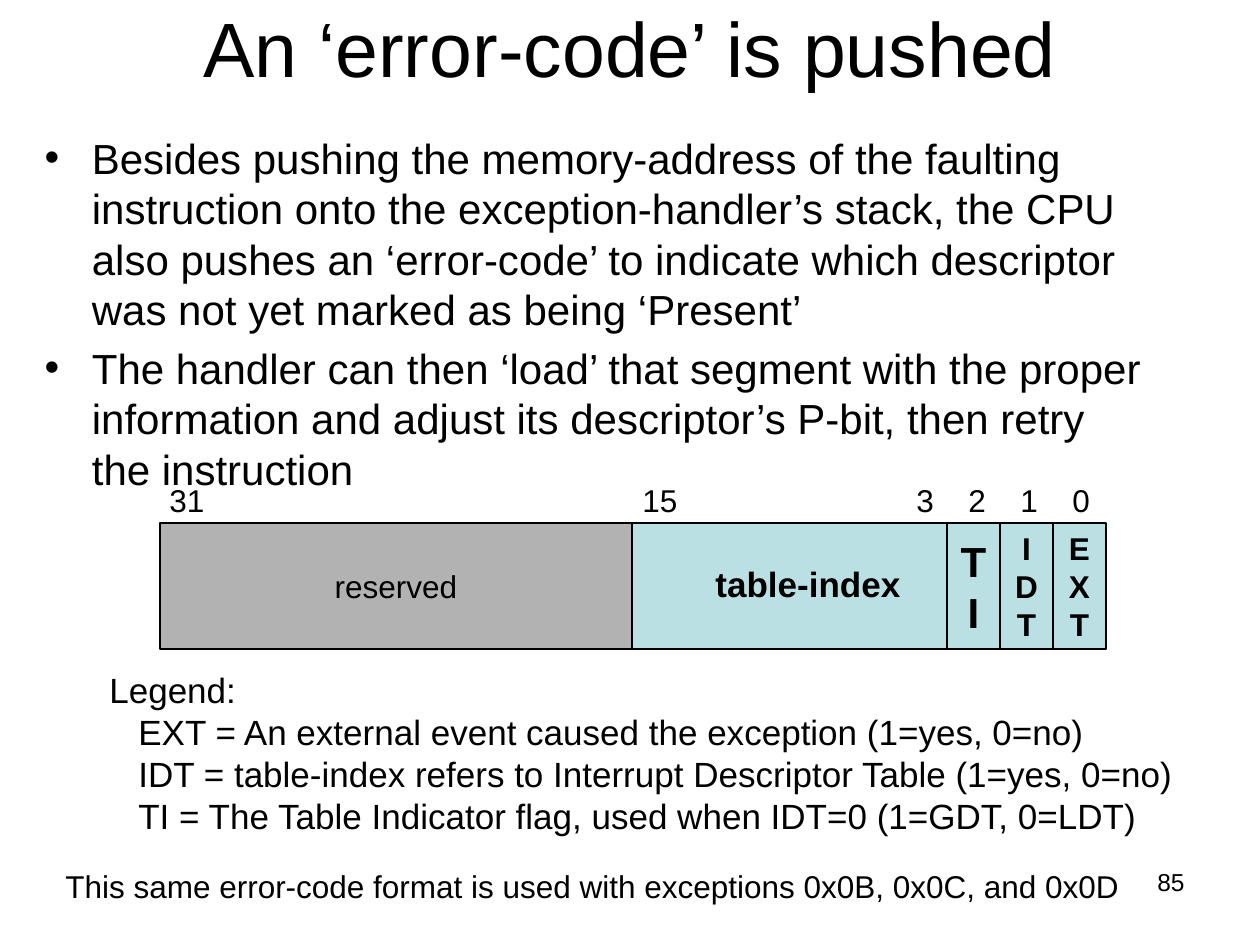
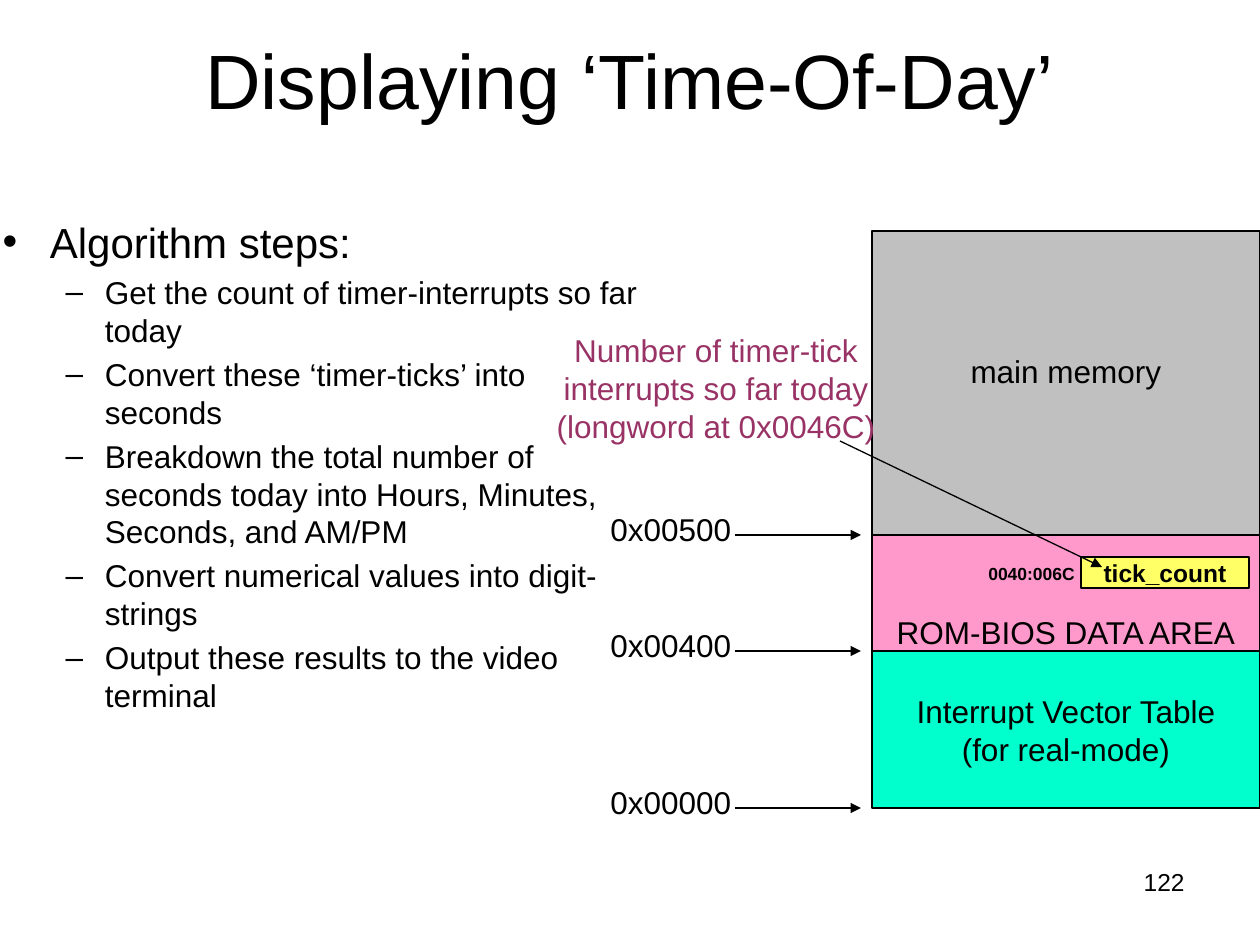
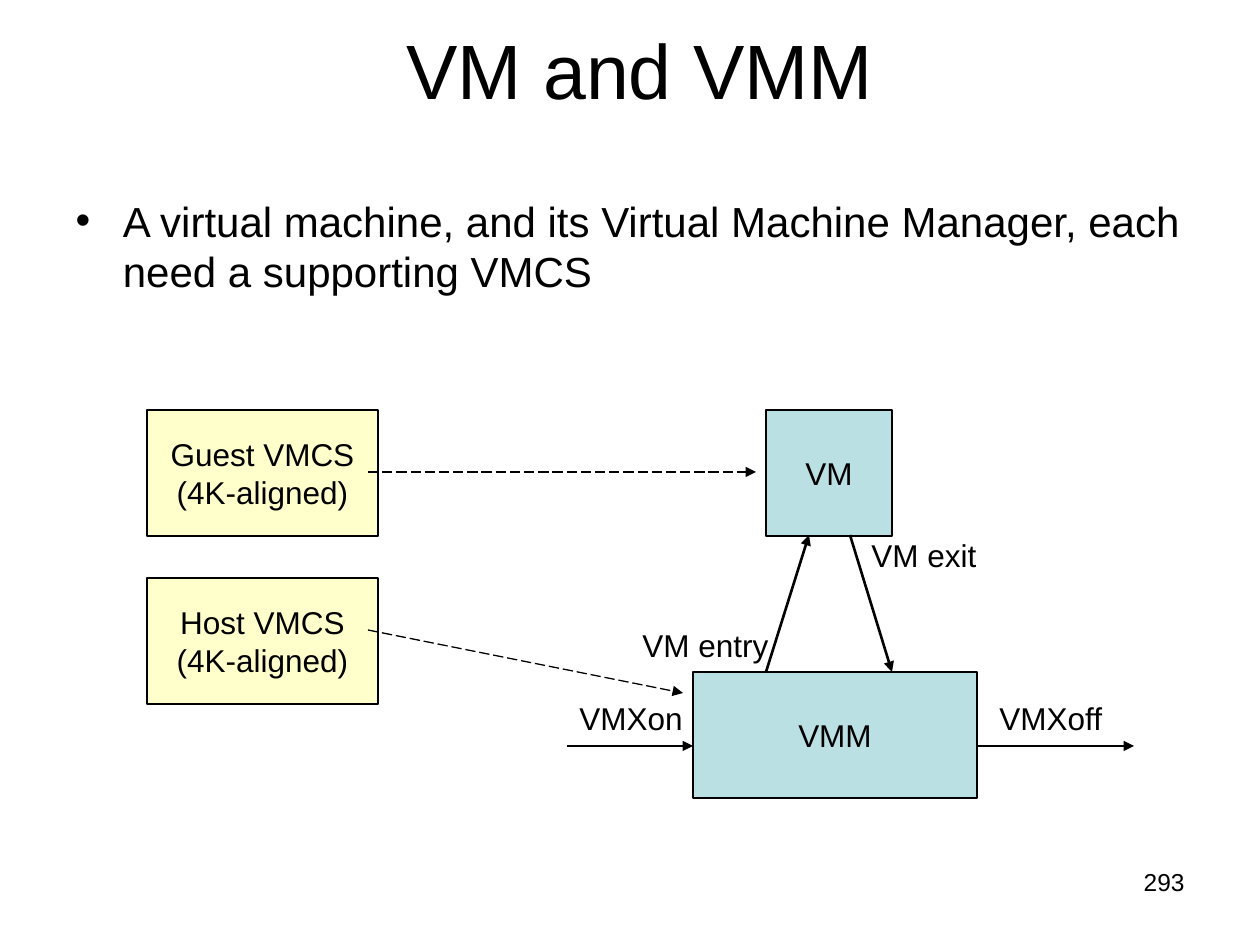
from pptx import Presentation
from pptx.dml.color import RGBColor
from pptx.enum.dml import MSO_LINE
from pptx.enum.shapes import MSO_CONNECTOR, MSO_SHAPE
from pptx.enum.text import MSO_ANCHOR, MSO_AUTO_SIZE, PP_ALIGN
from pptx.oxml.ns import qn
from pptx.oxml.xmlchemy import OxmlElement
from pptx.util import Pt

LEFT, CENTER, RIGHT = PP_ALIGN.LEFT, PP_ALIGN.CENTER, PP_ALIGN.RIGHT
MIDDLE, BOTTOM = MSO_ANCHOR.MIDDLE, MSO_ANCHOR.BOTTOM
LONG_DASH = MSO_LINE.LONG_DASH
EMU_PER_PX = 914400 / 126
FONT = "Arial"
BODY_SIZES = (24, 18)
COLORS = {
    "ink": "000000",
    "field": "BBE0E3",
    "reserved": "B2B2B2",
    "memory": "C0C0C0",
    "vectors": "00FFCC",
    "bios": "FF99CC",
    "counter": "FFFF66",
    "vmcs": "FFFFCC",
    "note": "993366",
}


def px(length):
    return round(length * EMU_PER_PX)


def rgb(name):
    return RGBColor.from_string(COLORS[name])


def style(paragraph, size, align=None, bold=False, color="ink"):
    paragraph.alignment = align
    font = paragraph.font
    font.name, font.size, font.bold = FONT, Pt(size), bold
    font.color.rgb = rgb(color)


def write(frame, text, size, **look):
    """Fill a frame with one paragraph per line of text."""
    frame.text = text
    for paragraph in frame.paragraphs:
        style(paragraph, size, **look)


def place(shape, left, top, width, height):
    shape.left, shape.top = px(left), px(top)
    shape.width, shape.height = px(width), px(height)


def add_slide(prs, title, title_at, items, body_at, number):
    """Add a slide with its title, (level, text) bullets and page number."""
    slide = prs.slides.add_slide(prs.slide_layouts[1])
    heading, body = slide.placeholders
    place(heading, *title_at, 1134, 158)
    heading.text_frame.vertical_anchor = MIDDLE
    write(heading.text_frame, title, 44, align=CENTER)

    place(body, *body_at, 624)
    frame = body.text_frame
    frame.text = "\n".join(text for _, text in items)
    for paragraph, (level, _) in zip(frame.paragraphs, items):
        paragraph.level = level
        style(paragraph, BODY_SIZES[level])
    frame.paragraphs[0].space_before = Pt(0)
    for placeholder in (heading, body):
        placeholder.text_frame.auto_size = MSO_AUTO_SIZE.NONE

    add_label(slide, number, 903, 861, 294, 66, size=14, align=RIGHT)
    return slide


def add_label(slide, text, left, top, width, height=50, size=18, **look):
    frame = slide.shapes.add_textbox(
        px(left), px(top), px(width), px(height)).text_frame
    frame.word_wrap = True
    write(frame, text, size, **look)
    return frame


def add_box(slide, text, left, top, width, height, fill, size=18, bold=False,
            anchor=MIDDLE, bottom_inset=6):
    box = slide.shapes.add_shape(
        MSO_SHAPE.RECTANGLE, px(left), px(top), px(width), px(height))
    box.shadow.inherit = False
    box.fill.solid()
    box.fill.fore_color.rgb = rgb(fill)
    box.line.color.rgb = rgb("ink")
    box.line.width = Pt(0.75)
    frame = box.text_frame
    frame.word_wrap = False
    frame.vertical_anchor = anchor
    frame.margin_bottom = px(bottom_inset)
    write(frame, text, size, align=CENTER, bold=bold)


def add_arrow(slide, x1, y1, x2, y2, weight=0.75, dash=None):
    arrow = slide.shapes.add_connector(
        MSO_CONNECTOR.STRAIGHT, px(x1), px(y1), px(x2), px(y2))
    arrow.line.color.rgb = rgb("ink")
    arrow.line.width = Pt(weight)
    if dash:
        arrow.line.dash_style = dash
    properties = arrow.element.spPr
    head = OxmlElement("a:tailEnd")
    head.set("type", "triangle")
    properties.find(qn("a:ln")).append(head)
    properties.append(OxmlElement("a:effectLst"))


def error_code_slide(prs):
    slide = add_slide(prs, "An ‘error-code’ is pushed", (63, -32), [
        (0, "Besides pushing the memory-address of the faulting instruction "
            "onto the exception-handler’s stack, the CPU also pushes an "
            "‘error-code’ to indicate which descriptor was not yet marked as "
            "being ‘Present’"),
        (0, "The handler can then ‘load’ that segment with the proper "
            "information and adjust its descriptor’s P-bit, then retry the "
            "instruction"),
    ], (32, 126, 1134), "85")

    left = 160
    for text, width, fill, size, bold in (
            ("reserved", 472, "reserved", 18, False),
            ("", 315, "field", 20, True),
            ("T\nI", 53, "field", 24, True),
            ("I\nD\nT", 53, "field", 18, True),
            ("E\nX\nT", 53, "field", 18, True)):
        add_box(slide, text, left, 523, width, 126, fill, size, bold)
        left += width
    add_label(slide, "table-index", 703, 556, 220, 54, size=20, bold=True)

    for bit, bit_left in (("31", 157), ("15", 630)):
        add_label(slide, bit, bit_left, 475, 64)
    for bit in range(4):
        add_label(slide, str(bit), 1060 - 52 * bit, 475, 46)

    legend = add_label(
        slide,
        "Legend:\n"
        "EXT = An external event caused the exception (1=yes, 0=no)\n"
        "IDT = table-index refers to Interrupt Descriptor Table "
        "(1=yes, 0=no)\n"
        "TI = The Table Indicator flag, used when IDT=0 (1=GDT, 0=LDT)",
        97, 662, 1110, 180, size=20)
    for entry in legend.paragraphs[1:]:
        entry._p.get_or_add_pPr().set("marL", str(px(29)))
    add_label(slide, "This same error-code format is used with exceptions "
              "0x0B, 0x0C, and 0x0D", 53, 861, 1090)


def time_of_day_slide(prs):
    slide = add_slide(prs, "Displaying ‘Time-Of-Day’", (63, 0), [
        (0, "Algorithm steps:"),
        (1, "Get the count of timer-interrupts so far today"),
        (1, "Convert these ‘timer-ticks’ into seconds"),
        (1, "Breakdown the total number of seconds today into Hours, "
            "Minutes, Seconds, and AM/PM"),
        (1, "Convert numerical values into digit-strings"),
        (1, "Output these results to the video terminal"),
    ], (-10, 210, 662), "122")

    region_top = 231
    for text, height, fill, address, anchor, inset in (
            ("main memory", 304, "memory", "0x00500", MIDDLE, 30),
            ("ROM-BIOS DATA AREA", 116, "bios", "0x00400", BOTTOM, 0),
            ("Interrupt Vector Table\n(for real-mode)", 157, "vectors",
             "0x00000", MIDDLE, 6)):
        add_box(slide, text, 872, region_top, 388, height, fill,
                anchor=anchor, bottom_inset=inset)
        region_top += height
        add_arrow(slide, 735, region_top, 861, region_top)
        add_label(slide, address, 598, region_top - 31, 150)

    add_box(slide, "tick_count", 1081, 557, 168, 31, "counter", 14, True)
    add_label(slide, "0040:006C", 976, 557, 116, 34, size=10, bold=True)
    add_arrow(slide, 840, 441, 1102, 567)
    add_label(slide, "Number of timer-tick\ninterrupts so far today\n"
              "(longword at 0x0046C)", 540, 325, 352, 126,
              align=CENTER, color="note")


def vm_slide(prs):
    slide = add_slide(prs, "VM and VMM", (73, -10), [
        (0, "A virtual machine, and its Virtual Machine Manager, each need "
            "a supporting VMCS"),
    ], (63, 189, 1134), "293")

    for text, left, top, width, fill in (
            ("VM", 766, 410, 126, "field"),
            ("VMM", 693, 672, 284, "field"),
            ("Guest VMCS\n(4K-aligned)", 147, 410, 231, "vmcs"),
            ("Host VMCS\n(4K-aligned)", 147, 578, 231, "vmcs")):
        add_box(slide, text, left, top, width, 126, fill)

    for transition in ((766, 672, 809, 535), (850, 535, 892, 672),
                       (567, 746, 693, 746), (977, 746, 1134, 746)):
        add_arrow(slide, *transition, weight=1.5)
    for control_link in ((368, 472, 756, 472), (368, 630, 683, 693)):
        add_arrow(slide, *control_link, dash=LONG_DASH)

    for text, left, top in (("VM entry", 630, 620), ("VM exit", 859, 530),
                            ("VMXon", 567, 693), ("VMXoff", 987, 693)):
        add_label(slide, text, left, top, 156, align=LEFT)


def main():
    prs = Presentation()
    prs.slide_width, prs.slide_height = px(1260), px(945)
    error_code_slide(prs)
    time_of_day_slide(prs)
    vm_slide(prs)
    prs.save("out.pptx")


if __name__ == "__main__":
    main()
